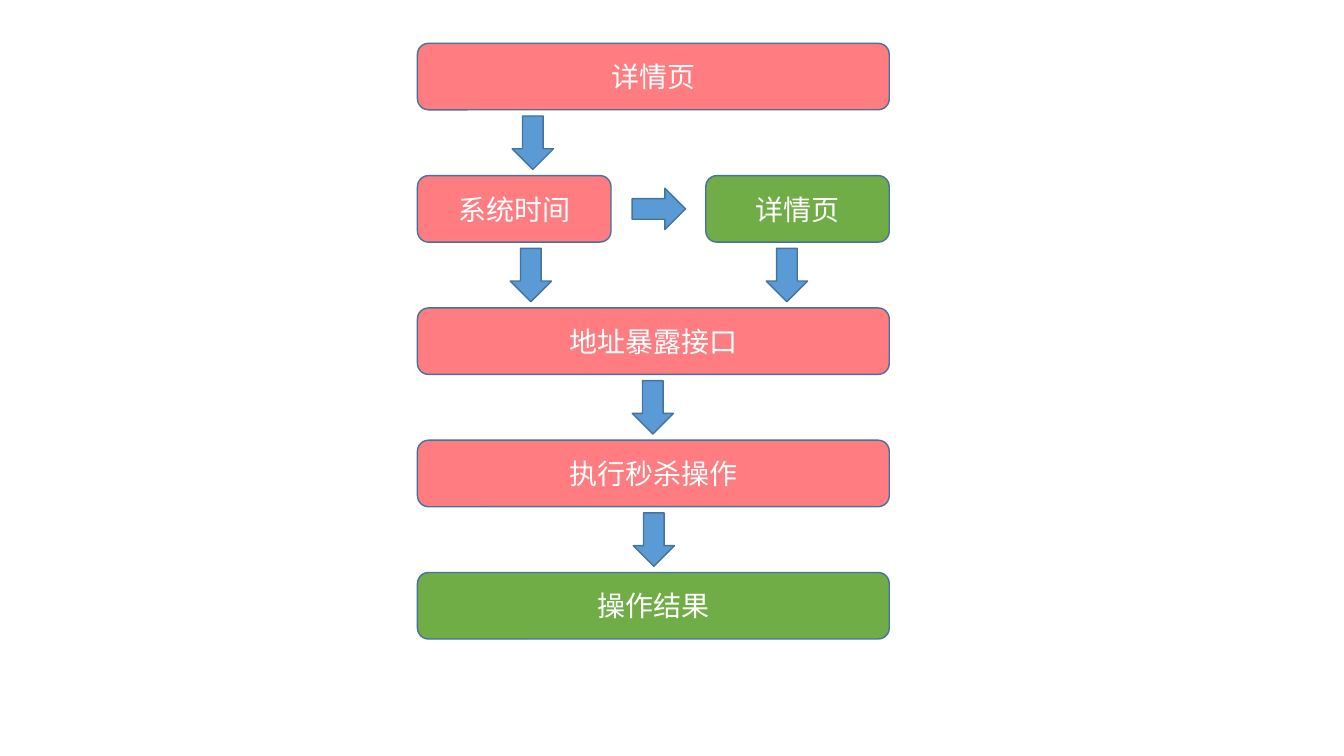
from lxml import etree
from pptx import Presentation
from pptx.dml.color import RGBColor
from pptx.enum.shapes import MSO_SHAPE
from pptx.enum.text import MSO_ANCHOR, PP_ALIGN
from pptx.oxml.ns import qn
from pptx.util import Inches, Pt

PINK = RGBColor(0xFF, 0x7C, 0x80)
GREEN = RGBColor(0x70, 0xAD, 0x47)
BLUE = RGBColor(0x5B, 0x9B, 0xD5)
OUTLINE = RGBColor(0x43, 0x73, 0x9E)
WHITE = RGBColor(0xFF, 0xFF, 0xFF)
FONT = "Noto Sans CJK SC"

ROW_COUNT = 5
STEP_HEIGHT = 0.66
ARROW_WIDTH, ARROW_HEIGHT = 0.41, 0.53

# Steps: row, offset from the left of the flow, width, text, fill
STEPS = [
    (0, 0, 4.68, "详情页", PINK),
    (1, 0, 1.92, "系统时间", PINK),
    (1, 2.86, 1.82, "详情页", GREEN),
    (2, 0, 4.68, "地址暴露接口", PINK),
    (3, 0, 4.68, "执行秒杀操作", PINK),
    (4, 0, 4.68, "操作结果", GREEN),
]
# Down arrows: row above, offset of the arrow from the left of the flow
DOWN_ARROWS = [(0, 0.94), (1, 0.92), (1, 3.46), (2, 2.13), (3, 2.14)]
SIDE_ARROW_ROW, SIDE_ARROW_OFFSET = 1, 2.19


def write_text(shape, text, size=20, color=WHITE, font=FONT, align=PP_ALIGN.CENTER):
    frame = shape.text_frame
    frame.word_wrap = True
    frame.vertical_anchor = MSO_ANCHOR.MIDDLE
    paragraph = frame.paragraphs[0]
    paragraph.alignment = align
    run = paragraph.add_run()
    run.text = text
    run.font.size = Pt(size)
    run.font.color.rgb = color
    run.font.name = font
    # East Asian typeface
    etree.SubElement(run.font._element, qn("a:ea"), typeface=font)


def add_block(slide, kind, left, top, width, height, fill):
    shape = slide.shapes.add_shape(
        kind, Inches(left), Inches(top), Inches(width), Inches(height))
    shape.shadow.inherit = False
    shape.fill.solid()
    shape.fill.fore_color.rgb = fill
    shape.line.color.rgb = OUTLINE
    shape.line.width = Pt(1)
    return shape


def add_arrow(slide, left, top):
    return add_block(slide, MSO_SHAPE.DOWN_ARROW, left, top,
                     ARROW_WIDTH, ARROW_HEIGHT, BLUE)


def add_flow(slide, left, top, height):
    pitch = (height - STEP_HEIGHT) / (ROW_COUNT - 1)
    gap = pitch - STEP_HEIGHT

    # Step boxes
    for row, offset, width, text, fill in STEPS:
        step = add_block(slide, MSO_SHAPE.ROUNDED_RECTANGLE, left + offset,
                         top + row * pitch, width, STEP_HEIGHT, fill)
        write_text(step, text)

    # Down arrows, centred in the gap below their row
    for row, offset in DOWN_ARROWS:
        add_arrow(slide, left + offset,
                  top + row * pitch + STEP_HEIGHT + (gap - ARROW_HEIGHT) / 2)

    # Arrow to the right, centred on its row
    side_arrow = add_arrow(
        slide, left + SIDE_ARROW_OFFSET,
        top + SIDE_ARROW_ROW * pitch + (STEP_HEIGHT - ARROW_HEIGHT) / 2)
    side_arrow.rotation = 270


presentation = Presentation()
presentation.slide_width = Inches(13.33)
presentation.slide_height = Inches(7.5)
slide = presentation.slides.add_slide(presentation.slide_layouts[6])
add_flow(slide, left=4.14, top=0.43, height=5.91)
presentation.save("out.pptx")
